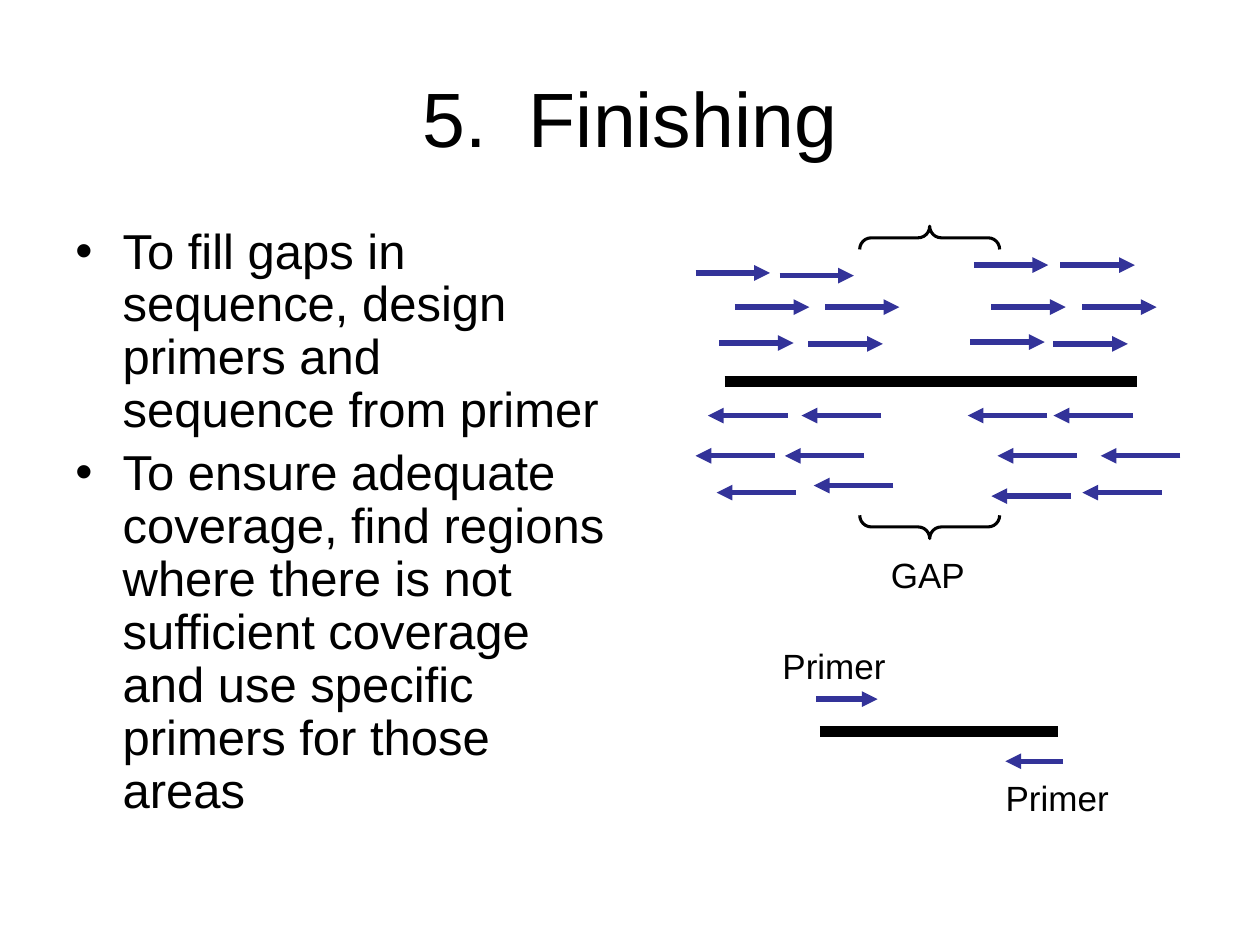
import pptx
import pptx.dml.color
import pptx.enum.shapes
import pptx.enum.text
import pptx.oxml.ns
import pptx.util
from lxml import etree

Pt = pptx.util.Pt
qn = pptx.oxml.ns.qn
Align = pptx.enum.text.PP_ALIGN
Anchor = pptx.enum.text.MSO_ANCHOR


def rgb(value):
    return pptx.dml.color.RGBColor.from_string(value)


class Sketch:
    font = "Arial"
    ink = "000000"
    read = "333399"

    def __init__(self, slide):
        self.s = slide

    def text(self, x, y, w, h, lines, size, align=Align.LEFT, anchor=Anchor.TOP):
        tf = self.s.shapes.add_textbox(Pt(x), Pt(y), Pt(w), Pt(h)).text_frame
        tf.word_wrap = True
        tf.vertical_anchor = anchor
        tf.text = "\n".join(lines)
        for p in tf.paragraphs:
            p.alignment = align
            for r in p.runs:
                r.font.name = self.font
                r.font.size = Pt(size)
                r.font.color.rgb = rgb(self.ink)
        return tf

    def bullets(self, x, y, w, h, lines, size):
        tf = self.text(x, y, w, h, lines, size)
        for i, p in enumerate(tf.paragraphs):
            pPr = p._p.get_or_add_pPr()
            pPr.set("marL", str(Pt(27)))
            pPr.set("indent", str(-Pt(27)))
            etree.SubElement(pPr, qn("a:buFont"), typeface=self.font)
            etree.SubElement(pPr, qn("a:buChar"), char="•")
            p.line_spacing = 0.9
            p.space_before = Pt(0.2 * size if i else 0)

    def line(self, x1, x2, y, color, width):
        straight = pptx.enum.shapes.MSO_CONNECTOR.STRAIGHT
        c = self.s.shapes.add_connector(straight, Pt(x1), Pt(y), Pt(x2), Pt(y))
        c.line.color.rgb = rgb(color)
        c.line.width = Pt(width)
        etree.SubElement(c._element.spPr, qn("a:effectLst"))
        return c

    def strand(self, x1, x2, y):
        self.line(x1, x2, y, self.ink, 6)

    def arrow(self, x, y, length):
        c = self.line(x, x + length, y, self.read, 3)
        etree.SubElement(c.line._get_or_add_ln(), qn("a:tailEnd"), type="triangle")

    def braces(self, x, y, w, h):
        kind = pptx.enum.shapes.MSO_SHAPE.DOUBLE_BRACE
        sp = self.s.shapes.add_shape(kind, Pt(x), Pt(y), Pt(w), Pt(h))
        sp.rotation = 90
        sp.adjustments[0] = 0.083
        sp.shadow.inherit = False
        sp.fill.background()
        sp.line.color.rgb = rgb(self.ink)
        sp.line.width = Pt(1.75)


FORWARD_READS = [
    (411, 196), (462, 196.5), (554.5, 195.5), (602, 196.5),
    (420, 175.5), (471.5, 175.5), (566.5, 175.5), (618.5, 175.5),
    (397.5, 156), (445.5, 157.5), (556.5, 151.5), (606, 151.5),
]
REVERSE_READS = [
    (450, 237.5), (503.5, 237.5), (598.5, 237.5), (647.5, 237.5),
    (443, 260.5), (494, 260.5), (615.5, 260.5), (674.5, 260.5),
    (455, 281.5), (510.5, 277.5), (612, 283.5), (664, 281.5),
]
LABELS = [("GAP", 502, 312.5, 65), ("Primer", 567.5, 440, 109.5), ("Primer", 440, 365, 90.5)]


def main():
    prs = pptx.Presentation()
    prs.slide_width, prs.slide_height = Pt(720), Pt(540)
    sketch = Sketch(prs.slides.add_slide(prs.slide_layouts[6]))

    sketch.text(36, 21.6, 648, 90, ["5.  Finishing"], 44, Align.CENTER, Anchor.MIDDLE)
    sketch.bullets(36, 126, 317.5, 356.5, [
        "To fill gaps in sequence, design primers and sequence from primer",
        "To ensure adequate coverage, find regions where there is not "
        "sufficient coverage and use specific primers for those areas",
    ], 28)

    sketch.strand(414, 650, 218)
    for x, y in FORWARD_READS:
        sketch.arrow(x, y, 42.5)
    for x, y in REVERSE_READS:
        sketch.arrow(x, y, -45.5)
    sketch.braces(442, 178.5, 178.5, 80)

    sketch.strand(468.5, 604.5, 418)
    sketch.arrow(466.5, 399.5, 35)
    sketch.arrow(607.5, 435, -33)
    for label, x, y, w in LABELS:
        sketch.text(x, y, w, 31, [label], 20)

    prs.save("out.pptx")


if __name__ == "__main__":
    main()
